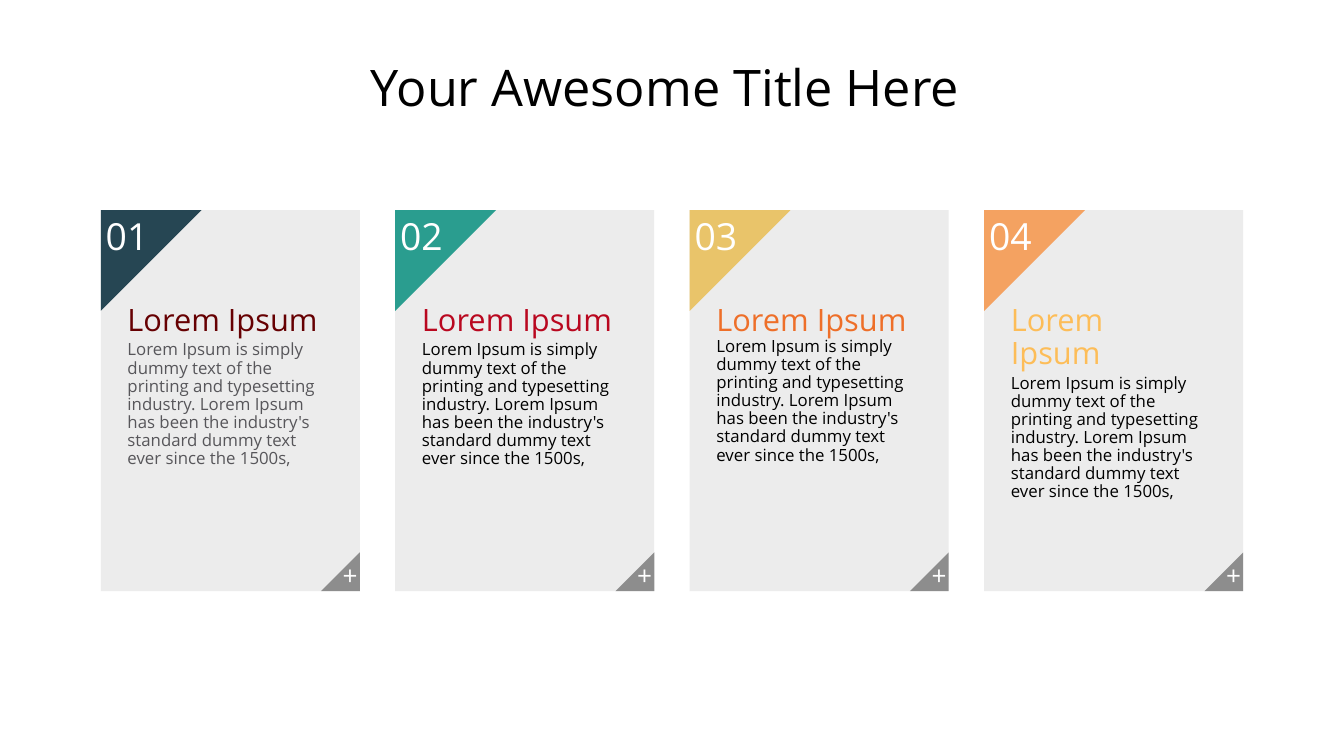
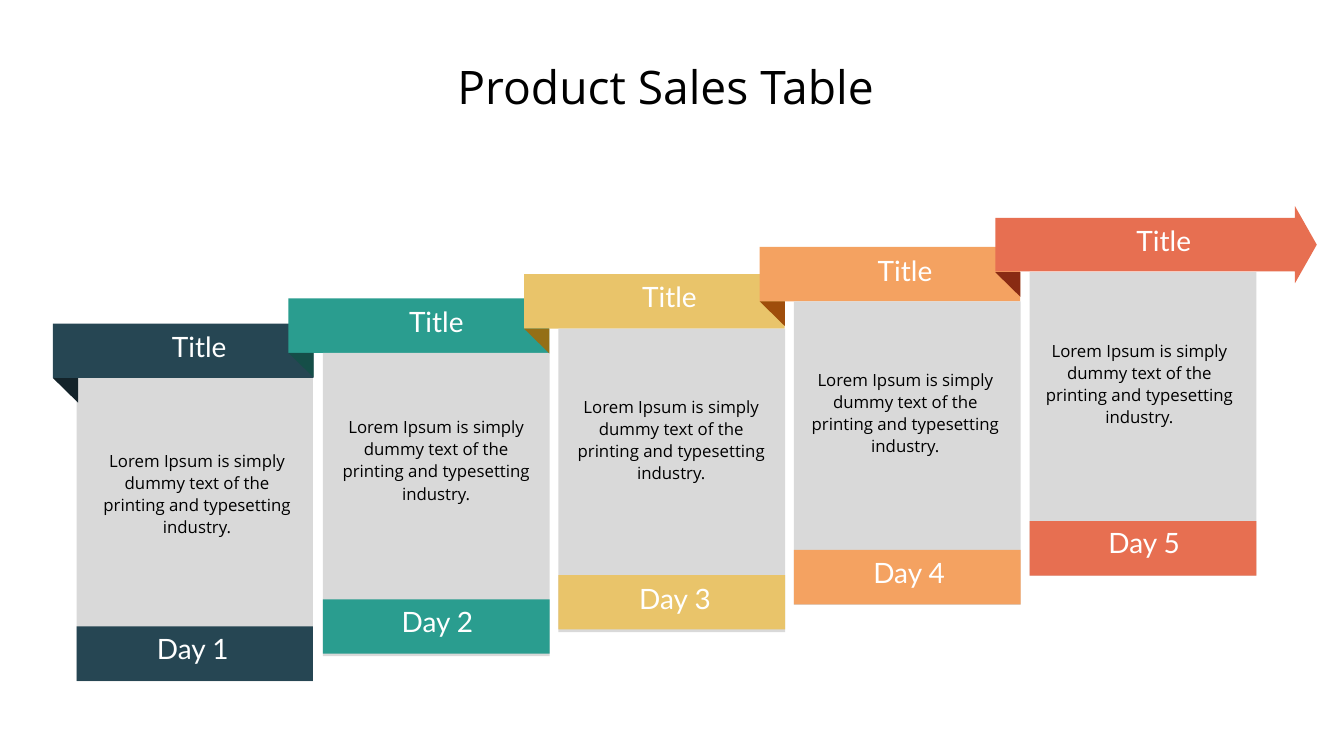
from dataclasses import dataclass

from lxml.etree import SubElement
from pptx import Presentation
from pptx.dml.color import RGBColor
from pptx.enum.shapes import MSO_SHAPE
from pptx.enum.text import MSO_ANCHOR, MSO_AUTO_SIZE, PP_ALIGN
from pptx.oxml.ns import qn
from pptx.util import Inches, Pt


@dataclass(frozen=True)
class Theme:
    accents: tuple = ("264653", "2A9D8F", "E9C46A", "F4A261", "E76F51")
    folds: tuple = ("13232A", "154E48", "946F16", "9F4D0B", "892B13")
    black: str = "000000"
    white: str = "FFFFFF"
    card: str = "808080"
    panel: str = "D9D9D9"
    muted: str = "57565A"
    font: str = "Open Sans"
    label_font: str = "Lato"
    number_size: float = 53.3
    heading_size: float = 44
    label_size: float = 40
    plus_size: float = 37.3
    body_size: float = 24


@dataclass(frozen=True)
class Box:
    left: float
    top: float
    width: float
    height: float

    def inside(self, dx, dy, width, height):
        """Return a box offset from this one's top left corner."""
        return Box(self.left + dx, self.top + dy, width, height)

    def lengths(self):
        return [Inches(value) for value in (self.left, self.top, self.width, self.height)]


@dataclass(frozen=True)
class Card:
    headings: tuple
    heading_color: str
    body_color: str = Theme.black
    run_in: bool = False


@dataclass(frozen=True)
class Step:
    """One day; the offsets are measured from the top left of its banner."""
    top: float
    title_offset: tuple
    body_offset: tuple
    base_drop: float
    day_offset: tuple
    panel_dx: float = 0.68
    panel_width: float = 4.5


THEME = Theme()
SLIDE_WIDTH, SLIDE_HEIGHT = 26.67, 15
TITLE_BOX = Box(1.83, 0.8, 23, 1.82)
SENTENCE = "Lorem Ipsum is simply dummy text of the printing and typesetting industry."
CARD_TEXT = (SENTENCE + " Lorem Ipsum has been the industry's standard dummy text "
             "ever since the 1500s,")

CARDS = (
    Card(("Lorem Ipsum",), "660002", THEME.muted),
    Card(("Lorem Ipsum",), "B9071F"),
    Card(("Lorem Ipsum ",), "EE6F29", run_in=True),
    Card(("Lorem", "Ipsum"), "FDBD58"),
)
CARD_MARGIN, CARD_TOP = 2, 4.17
CARD_WIDTH, CARD_HEIGHT = 5.14, 7.56
CORNER_SIZE, PLUS_SIZE = 2, 0.77

STEPS = (
    Step(6.42, (2.26, 0.07), (0.65, 2.36), 6.01, (1.72, 6.07), 0.47, 4.69),
    Step(5.92, (2.29, 0.07), (0.72, 2.19), 5.97, (1.9, 6.02)),
    Step(5.44, (2.24, 0.05), (0.71, 2.27), 5.97, (1.94, 6.04)),
    Step(4.9, (2.24, 0.08), (0.68, 2.27), 6.01, (1.91, 6.08)),
    Step(4.32, (2.7, 0.07), (0.65, 2.28), 6.02, (1.9, 6.06)),
)
STEPS_LEFT, STEP_PITCH = 1.05, 4.675
BANNER_WIDTH, BANNER_HEIGHT = 5.17, 1.08
PANEL_HEIGHT = 6.02
FOLD_WIDTH, FOLD_HEIGHT = 0.5, 0.49


def style_font(font, size, color, name=THEME.font):
    font.size, font.name = Pt(size), name
    font.color.rgb = RGBColor.from_string(color)


def paint(shape, color, opacity=None):
    """Give a flat fill with no outline or shadow; opacity is in percent."""
    shape.shadow.inherit = False
    shape.line.fill.background()
    shape.fill.solid()
    shape.fill.fore_color.rgb = RGBColor.from_string(color)
    if opacity is not None:
        color_node = shape.element.spPr.find(".//" + qn("a:srgbClr"))
        SubElement(color_node, qn("a:alpha"), val=str(opacity * 1000))


def add_block(slide, kind, box, color, opacity=None, adjustments=()):
    shape = slide.shapes.add_shape(kind, *box.lengths())
    for index, value in enumerate(adjustments):
        shape.adjustments[index] = value
    paint(shape, color, opacity)
    return shape


def set_frame(frame, anchor=MSO_ANCHOR.TOP, insets=(0.1, 0.05, 0.1, 0.05), wrap=True):
    frame.word_wrap = wrap
    frame.vertical_anchor = anchor
    (frame.margin_left, frame.margin_top,
     frame.margin_right, frame.margin_bottom) = map(Inches, insets)


def write(paragraph, text, size, color, name=THEME.font, align=PP_ALIGN.CENTER):
    paragraph.text = text
    paragraph.alignment = align
    style_font(paragraph.font, size, color, name)


def add_text(slide, box, text, size, color, name=THEME.font, wrap=False,
             insets=(0.1, 0.05, 0.1, 0.05), line_spacing=1.0):
    frame = slide.shapes.add_textbox(*box.lengths()).text_frame
    set_frame(frame, insets=insets, wrap=wrap)
    frame.auto_size = MSO_AUTO_SIZE.SHAPE_TO_FIT_TEXT
    paragraph = frame.paragraphs[0]
    write(paragraph, text, size, color, name)
    paragraph.line_spacing = line_spacing


def add_titled_slide(presentation, title, size):
    slide = presentation.slides.add_slide(presentation.slide_layouts[5])
    shape = slide.shapes.title
    shape.left, shape.top, shape.width, shape.height = TITLE_BOX.lengths()
    set_frame(shape.text_frame, MSO_ANCHOR.MIDDLE)
    shape.text_frame.auto_size = MSO_AUTO_SIZE.NONE
    write(shape.text_frame.paragraphs[0], title, size, THEME.black)
    return slide


def write_card_text(frame, card):
    set_frame(frame, insets=(0.53, 1.87, 0.53, 0.53))
    texts = [(heading, THEME.heading_size, card.heading_color) for heading in card.headings]
    texts.append((CARD_TEXT, THEME.body_size, card.body_color))
    if card.run_in:
        paragraph = frame.paragraphs[0]
        paragraph.alignment = PP_ALIGN.LEFT
        for text, size, color in texts:
            run = paragraph.add_run()
            run.text = text
            style_font(run.font, size, color)
    else:
        for index, (text, size, color) in enumerate(texts):
            paragraph = frame.paragraphs[0] if index == 0 else frame.add_paragraph()
            write(paragraph, text, size, color, align=PP_ALIGN.LEFT)
    for paragraph in frame.paragraphs:
        paragraph.line_spacing = 0.9
        paragraph.space_after = Pt(5.3)
    for paragraph in frame.paragraphs[:len(card.headings) - 1]:
        paragraph.space_after = Pt(0)


def add_card(slide, box, number, card):
    background = add_block(slide, MSO_SHAPE.RECTANGLE, box, THEME.card, opacity=15)
    write_card_text(background.text_frame, card)

    corner = add_block(slide, MSO_SHAPE.DIAGONAL_STRIPE,
                       box.inside(0, 0, CORNER_SIZE, CORNER_SIZE),
                       THEME.accents[number - 1], adjustments=(0,))
    set_frame(corner.text_frame, MSO_ANCHOR.MIDDLE, wrap=False)
    write(corner.text_frame.paragraphs[0], f"{number:02}", THEME.number_size,
          THEME.white, align=PP_ALIGN.LEFT)

    plus_box = box.inside(box.width - PLUS_SIZE, box.height - PLUS_SIZE, PLUS_SIZE, PLUS_SIZE)
    plus = add_block(slide, MSO_SHAPE.ISOSCELES_TRIANGLE, plus_box, THEME.black,
                     opacity=40, adjustments=(1,))
    set_frame(plus.text_frame, MSO_ANCHOR.BOTTOM, (0.27, 0, 0.27, 0), wrap=False)
    write(plus.text_frame.paragraphs[0], "+", THEME.plus_size, THEME.white)


def add_fold(slide, box, color):
    """Draw the shaded triangle where a banner folds behind its panel."""
    left, top, width, height = box.lengths()
    builder = slide.shapes.build_freeform(left, top)
    builder.add_line_segments([(left + width, top), (left + width, top + height)], close=True)
    paint(builder.convert_to_shape(), color)


def add_step(slide, banner, number, step):
    color = THEME.accents[number - 1]
    if number == len(STEPS):
        add_block(slide, MSO_SHAPE.RIGHT_ARROW, banner.inside(0, -0.23, 6.38, 1.53),
                  color, adjustments=(0.695, 0.283))
    else:
        add_block(slide, MSO_SHAPE.RECTANGLE, banner, color)
    add_block(slide, MSO_SHAPE.RECTANGLE,
              banner.inside(step.panel_dx, banner.height, step.panel_width, PANEL_HEIGHT),
              THEME.panel)
    add_fold(slide, banner.inside(0, banner.height, FOLD_WIDTH, FOLD_HEIGHT),
             THEME.folds[number - 1])
    add_block(slide, MSO_SHAPE.RECTANGLE,
              banner.inside(step.panel_dx, step.base_drop, step.panel_width, BANNER_HEIGHT),
              color)
    add_text(slide, banner.inside(*step.title_offset, 1.43, 0.77), "Title ",
             THEME.label_size, THEME.white, THEME.label_font)
    add_text(slide, banner.inside(*step.body_offset, 4.42, 1.99), SENTENCE,
             THEME.body_size, THEME.black, wrap=True,
             insets=(0.24, 0.12, 0.24, 0.12), line_spacing=1.1)
    add_text(slide, banner.inside(*step.day_offset, 2.11, 0.86), f"Day {number}",
             THEME.label_size, THEME.white, THEME.label_font)


def build_cards_slide(presentation):
    slide = add_titled_slide(presentation, "Your Awesome Title Here ", 72)
    pitch = (SLIDE_WIDTH - 2 * CARD_MARGIN - CARD_WIDTH) / (len(CARDS) - 1)
    for index, card in enumerate(CARDS):
        box = Box(CARD_MARGIN + index * pitch, CARD_TOP, CARD_WIDTH, CARD_HEIGHT)
        add_card(slide, box, index + 1, card)


def build_steps_slide(presentation):
    slide = add_titled_slide(presentation, "Product Sales Table ", 66)
    for index, step in enumerate(STEPS):
        banner = Box(STEPS_LEFT + index * STEP_PITCH, step.top, BANNER_WIDTH, BANNER_HEIGHT)
        add_step(slide, banner, index + 1, step)


def main():
    presentation = Presentation()
    presentation.slide_width = Inches(SLIDE_WIDTH)
    presentation.slide_height = Inches(SLIDE_HEIGHT)
    build_cards_slide(presentation)
    build_steps_slide(presentation)
    presentation.save("out.pptx")


if __name__ == "__main__":
    main()
